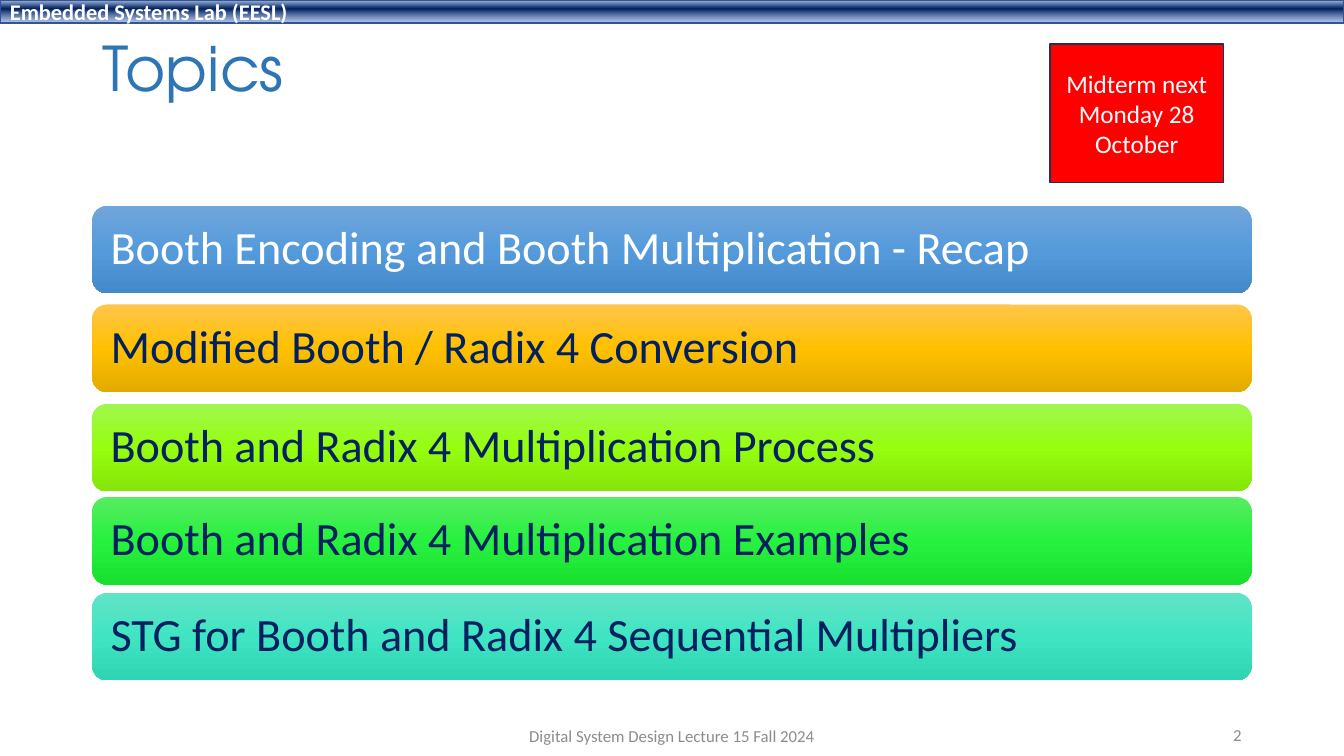
import lxml.etree
import pptx
import pptx.dml.color
import pptx.enum.shapes
import pptx.enum.text
import pptx.oxml.ns
import pptx.util

Pt = pptx.util.Pt
RGB = pptx.dml.color.RGBColor
SHAPE = pptx.enum.shapes.MSO_SHAPE
ALIGN = pptx.enum.text.PP_ALIGN
qn = pptx.oxml.ns.qn

WHITE = RGB(0xFF, 0xFF, 0xFF)
NAVY = RGB(0x00, 0x20, 0x60)
BLUE = RGB(0x2E, 0x75, 0xB6)
GRAY = RGB(0x8C, 0x8C, 0x8C)
RED = RGB(0xFF, 0x00, 0x00)
EDGE = RGB(0x1E, 0x32, 0x56)
RIM = RGB(0x32, 0x54, 0x91)
PALE = RGB(0xAB, 0xC0, 0xE4)
MIST = RGB(0x7E, 0x9E, 0xD6)
SKY = RGB(0x71, 0xA6, 0xDB), RGB(0x55, 0x9B, 0xDB), RGB(0x44, 0x8A, 0xCA)
GOLD = RGB(0xFF, 0xC6, 0x4B), RGB(0xFF, 0xC0, 0x00), RGB(0xE3, 0xAB, 0x00)
LIME = RGB(0xA0, 0xF7, 0x4E), RGB(0x96, 0xFE, 0x0E), RGB(0x85, 0xE5, 0x09)
GREEN = RGB(0x56, 0xEC, 0x62), RGB(0x27, 0xF1, 0x3E), RGB(0x18, 0xE0, 0x2F)
TEAL = RGB(0x63, 0xE3, 0xC6), RGB(0x3F, 0xE5, 0xC3), RGB(0x2F, 0xD4, 0xB2)

TOPICS = [
    (147, "Booth Encoding and Booth Multiplication - Recap", SKY, WHITE),
    (217.5, "Modified Booth / Radix 4 Conversion", GOLD, NAVY),
    (288.5, "Booth and Radix 4 Multiplication Process", LIME, NAVY),
    (355, "Booth and Radix 4 Multiplication Examples", GREEN, NAVY),
    (423.5, "STG for Booth and Radix 4 Sequential Multipliers", TEAL, NAVY),
]


def write(shape, text, size, color, align=ALIGN.LEFT, face="Calibri"):
    """Write one paragraph, centred vertically, and return it."""
    frame = shape.text_frame
    frame.word_wrap = True
    frame.vertical_anchor = pptx.enum.text.MSO_ANCHOR.MIDDLE
    para = frame.paragraphs[0]
    para.text = text
    para.alignment = align
    para.font.size = Pt(size)
    para.font.name = face
    para.font.color.rgb = color
    return para


def label(slide, box, *style):
    """Add a text box and return its paragraph."""
    return write(slide.shapes.add_textbox(*map(Pt, box)), *style)


def block(slide, kind, box, line=None):
    """Add a flat shape, outlined only when a line colour is given."""
    shape = slide.shapes.add_shape(kind, *map(Pt, box))
    shape.shadow.inherit = False
    if line is None:
        shape.line.fill.background()
    else:
        shape.line.color.rgb = line
        shape.line.width = Pt(1)
    return shape


def blend(shape, stops):
    """Fill from top to bottom with stops of percent, colour and opacity."""
    shape.fill.gradient()
    shape.fill.gradient_angle = 270
    ramp = shape.fill._fill._gradFill.find(qn("a:gsLst"))
    for old in list(ramp):
        ramp.remove(old)
    for place, color, alpha in stops:
        stop = lxml.etree.SubElement(ramp, qn("a:gs"), pos=str(place * 1000))
        tint = lxml.etree.SubElement(stop, qn("a:srgbClr"), val=str(color))
        if alpha < 100:
            lxml.etree.SubElement(tint, qn("a:alpha"), val=str(alpha * 1000))


def header(slide, box):
    """Draw the lab banner."""
    band = block(slide, SHAPE.RECTANGLE, box, RIM)
    blend(band, [(2, PALE, 100), (38, NAVY, 100), (93, MIST, 64)])
    write(band, "Embedded Systems Lab (EESL)", 16, WHITE).font.bold = True


def notice(slide, box):
    """Draw the red midterm notice."""
    card = block(slide, SHAPE.RECTANGLE, box, EDGE)
    card.fill.solid()
    card.fill.fore_color.rgb = RED
    write(card, "Midterm next Monday 28 October", 18, WHITE, ALIGN.CENTER)


def topic(slide, box, text, colors, ink):
    """Draw one rounded topic bar."""
    bar = block(slide, SHAPE.ROUNDED_RECTANGLE, box)
    blend(bar, [(50 * i, color, 100) for i, color in enumerate(colors)])
    bar.text_frame.margin_left = bar.text_frame.margin_right = Pt(10)
    write(bar, text, 33, ink).line_spacing = 0.9


def footer(slide, left, top, width):
    """Place the lecture name in the middle and the page number at the right."""
    mid, side = 324, 216
    label(slide, (left + (width - mid) / 2, top, mid, 29),
          "Digital System Design Lecture 15 Fall 2024", 12, GRAY, ALIGN.CENTER)
    label(slide, (left + width - side, top - 0.5, side, 29),
          "2", 12, GRAY, ALIGN.RIGHT)


def main():
    """Build and save the topics slide."""
    deck = pptx.Presentation()
    deck.slide_width, deck.slide_height = Pt(960), Pt(540)
    slide = deck.slides.add_slide(deck.slide_layouts[6])
    left, width = 66, 828
    header(slide, (0, 0, 960, 16.5))
    title = label(slide, (left, 10.5, width, 81), "Topics", 44, BLUE,
                  ALIGN.LEFT, "TeX Gyre Adventor")
    title.line_spacing = 0.9
    for top, *style in TOPICS:
        topic(slide, (left, top, width, 62.5), *style)
    footer(slide, left, 511, width)
    notice(slide, (750, 31.5, 124, 99))
    deck.save("out.pptx")


if __name__ == "__main__":
    main()
